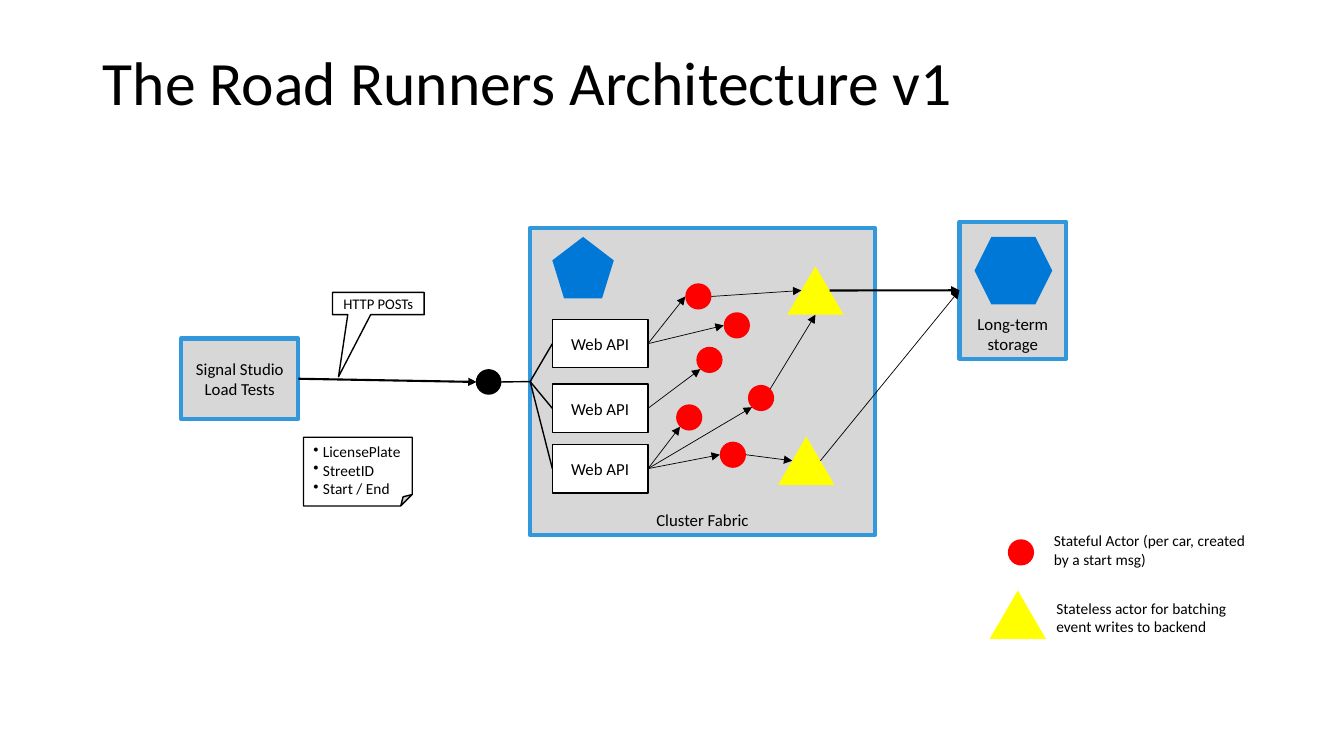
from lxml import etree
from pptx import Presentation
from pptx import util as u
from pptx.dml.color import RGBColor
from pptx.enum import shapes, text
from pptx.oxml.ns import qn

KIND = shapes.MSO_SHAPE
ANCHOR = text.MSO_ANCHOR
ALIGN = text.PP_ALIGN
GREY, BLUE, AZURE = "D7D7D7", "3398DB", "0078D7"
RED, YELLOW, BLACK, WHITE = "FF0000", "FFFF00", "000000", "FFFFFF"
DOT = 0.66
TRI = (1.42, 1.22)
API = (2.41, 1.22)

# Points on a shape, as fractions of its box
TOP, LEFT, BOTTOM, RIGHT = (0.5, 0), (0, 0.5), (0.5, 1), (1, 0.5)
SIDES = [TOP, LEFT, BOTTOM, RIGHT]
LOW_LEFT, HIGH_RIGHT = (0.15, 0.85), (0.85, 0.15)
SLOPE_LEFT, SLOPE_RIGHT = (0.25, 0.5), (0.75, 0.5)


def tint(code):
    return RGBColor.from_string(code)


def write(shape, lines, size, align=ALIGN.CENTER, anchor=ANCHOR.MIDDLE):
    frame = shape.text_frame
    frame.word_wrap = True
    frame.vertical_anchor = anchor
    frame.text = "\n".join(lines)
    for para in frame.paragraphs:
        para.alignment = align
        para.font.name = "Calibri"
        para.font.size = u.Pt(size)
        para.font.color.rgb = tint(BLACK)
    return frame


def draw(slide, kind, box, fill, line=None, width=1):
    shape = slide.shapes.add_shape(kind, *map(u.Cm, box))
    shape.shadow.inherit = False
    shape.fill.solid()
    shape.fill.fore_color.rgb = tint(fill)
    if line:
        shape.line.color.rgb = tint(line)
        shape.line.width = u.Pt(width)
    else:
        shape.line.fill.background()
    return shape


def panel(slide, box, label, anchor):
    shape = draw(slide, KIND.RECTANGLE, box, GREY, BLUE, 3)
    write(shape, [label], 12, anchor=anchor)
    return shape


def label(slide, box, words, size, anchor=ANCHOR.TOP):
    area = slide.shapes.add_textbox(*map(u.Cm, box))
    return write(area, [words], size, ALIGN.LEFT, anchor)


def actor(slide, x, y):
    return draw(slide, KIND.OVAL, (x, y, DOT, DOT), RED)


def batch(slide, x, y):
    return draw(slide, KIND.ISOSCELES_TRIANGLE, (x, y, *TRI), YELLOW)


def spot(shape, part):
    return (int(shape.left + shape.width * part[0]),
            int(shape.top + shape.height * part[1]))


def link(slide, start, go, end, stop, width=0.5, arrow=True):
    """Join a point of one shape to a point of another."""
    wire = slide.shapes.add_connector(
        shapes.MSO_CONNECTOR.STRAIGHT, *spot(start, go), *spot(end, stop))
    for shape, part, join in ((start, go, wire.begin_connect),
                              (end, stop, wire.end_connect)):
        if shape.auto_shape_type == KIND.RECTANGLE and part in SIDES:
            join(shape, SIDES.index(part))
    wire.line.color.rgb = tint(BLACK)
    wire.line.width = u.Pt(width)
    if arrow:
        tail = etree.SubElement(wire.line._get_or_add_ln(), qn("a:tailEnd"))
        tail.set("type", "triangle")
    etree.SubElement(wire._element.spPr, qn("a:effectLst"))


def title(slide, box):
    frame = label(slide, box, "The Road Runners Architecture v1", 44,
                  ANCHOR.MIDDLE)
    frame.paragraphs[0].line_spacing = 0.9


def client(slide, box):
    """Load tests with the callout and the note on what they send."""
    x, y, w, h = box
    tests = panel(slide, box, "Signal Studio Load Tests", ANCHOR.MIDDLE)

    call = draw(slide, KIND.RECTANGULAR_CALLOUT,
                (x + 3.81, y - 1.16, 2.31, 0.56), WHITE, BLACK)
    call.adjustments[0] = -0.434
    call.adjustments[1] = 3.292
    frame = write(call, ["HTTP POSTs"], 10.5)
    frame.margin_left = frame.margin_right = 0
    frame.margin_top = frame.margin_bottom = 0

    note = draw(slide, KIND.FOLDED_CORNER,
                (x + 3.08, y + 2.49, 2.74, 1.73), WHITE, BLACK)
    frame = write(note, ["LicensePlate", "StreetID", "Start / End"], 11,
                  ALIGN.LEFT, ANCHOR.TOP)
    frame.margin_right = 0
    for para in frame.paragraphs:
        props = para._p.get_or_add_pPr()
        props.set("marL", str(u.Cm(0.24)))
        props.set("indent", str(-u.Cm(0.24)))
        etree.SubElement(props, qn("a:buChar")).set("char", "•")
    return tests


def fabric(slide, box):
    """The cluster; gives its frame and its two batch actors."""
    x, y, w, h = box
    frame = panel(slide, box, "Cluster Fabric", ANCHOR.BOTTOM)
    draw(slide, KIND.REGULAR_PENTAGON, (x + 0.56, y + 0.23, 1.55, 1.55), AZURE)

    apis = []
    for down in (2.31, 3.94, 5.46):
        api = draw(slide, KIND.RECTANGLE, (x + 0.56, y + down, *API),
                   WHITE, BLACK)
        write(api, ["Web API"], 12)
        link(slide, api, LEFT, frame, LEFT, 1, False)
        apis.append(api)

    spots = [(3.91, 1.4), (4.88, 2.13), (4.19, 3), (5.49, 3.96),
             (3.68, 4.45), (4.78, 5.39)]
    cars = [actor(slide, x + dx, y + dy) for dx, dy in spots]
    upper = batch(slide, x + 6.48, y + 0.97)
    lower = batch(slide, x + 6.25, y + 5.26)

    for api, car, side in ((0, 0, LEFT), (0, 1, LEFT), (1, 2, LOW_LEFT),
                           (2, 3, LOW_LEFT), (2, 4, LOW_LEFT), (2, 5, LEFT)):
        link(slide, apis[api], RIGHT, cars[car], side)
    link(slide, cars[0], RIGHT, upper, SLOPE_LEFT)
    link(slide, cars[3], HIGH_RIGHT, upper, BOTTOM)
    link(slide, cars[5], RIGHT, lower, SLOPE_LEFT)
    return frame, upper, lower


def store(slide, box):
    x, y, w, h = box
    frame = panel(slide, box, "Long-term storage", ANCHOR.BOTTOM)
    draw(slide, KIND.HEXAGON, (x + 0.38, y + 0.38, 1.96, 1.7), AZURE)
    return frame


def legend(slide, box):
    x, y, w, h = box
    actor(slide, x + 0.46, y + 0.33)
    label(slide, (x + 1.37, y, w - 1.4, 1.19),
          "Stateful Actor (per car, created by a start msg)", 11)
    batch(slide, x, y + 1.62)
    label(slide, (x + 1.43, y + 1.7, w - 1.4, 1.19),
          "Stateless actor for batching event writes to backend", 11)


def main():
    deck = Presentation()
    deck.slide_width, deck.slide_height = u.Cm(33.87), u.Cm(19.05)
    slide = deck.slides.add_slide(deck.slide_layouts[6])

    title(slide, (2.34, 1.02, 29.21, 2.26))
    tests = client(slide, (4.57, 8.53, 2.95, 2.03))
    frame, upper, lower = fabric(slide, (13.36, 5.74, 8.69, 7.75))
    disk = store(slide, (24.18, 5.59, 2.69, 3.45))
    legend(slide, (24.94, 13.26, 7.14, 2.89))

    port = draw(slide, KIND.OVAL, (12.01, 9.32, 0.61, 0.61), BLACK, BLACK)
    link(slide, tests, RIGHT, port, LEFT, 1.5)
    link(slide, port, RIGHT, frame, LEFT, 1, False)
    link(slide, upper, SLOPE_RIGHT, disk, LEFT, 1.5)
    link(slide, lower, SLOPE_RIGHT, disk, LEFT)

    deck.save("out.pptx")


if __name__ == "__main__":
    main()
